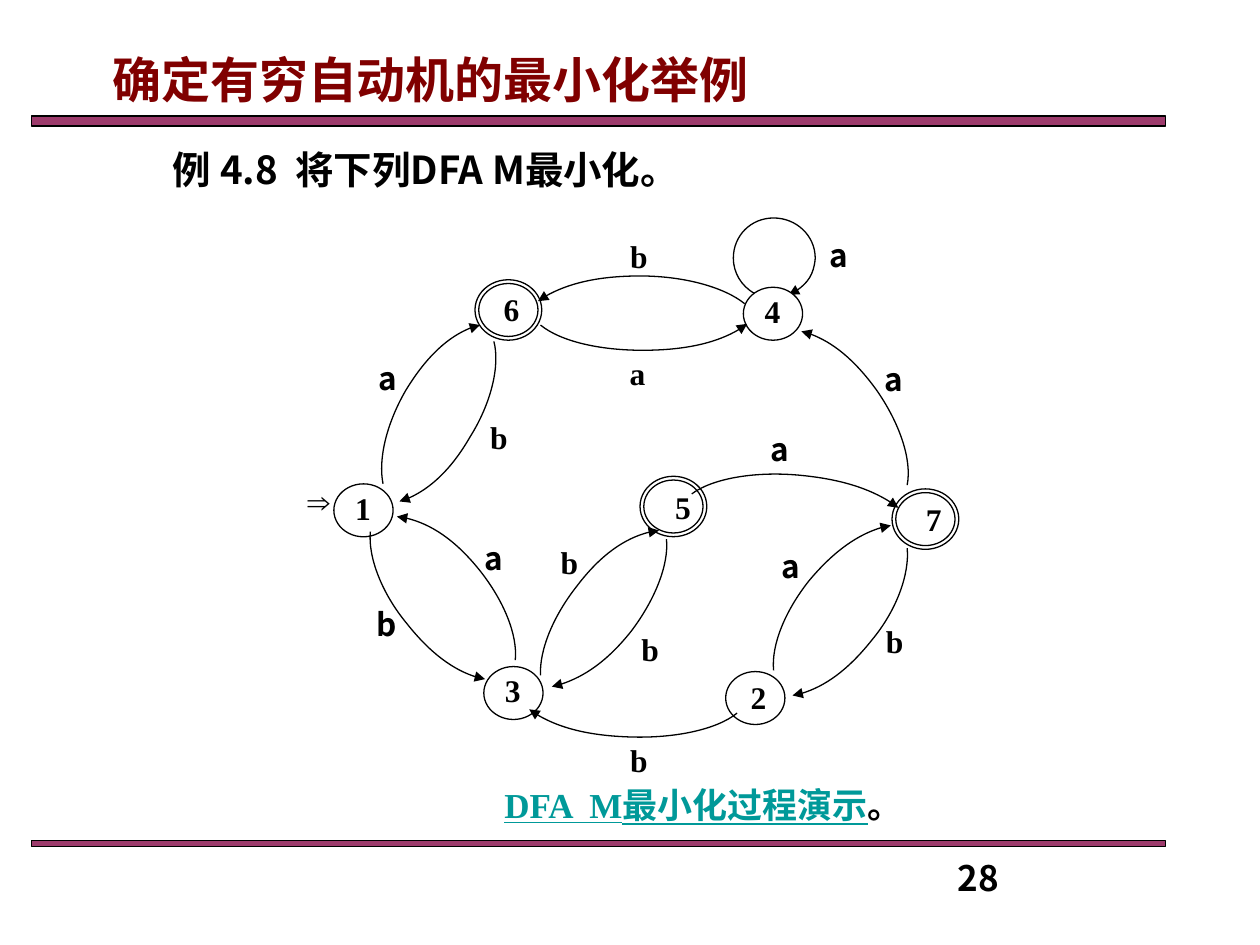
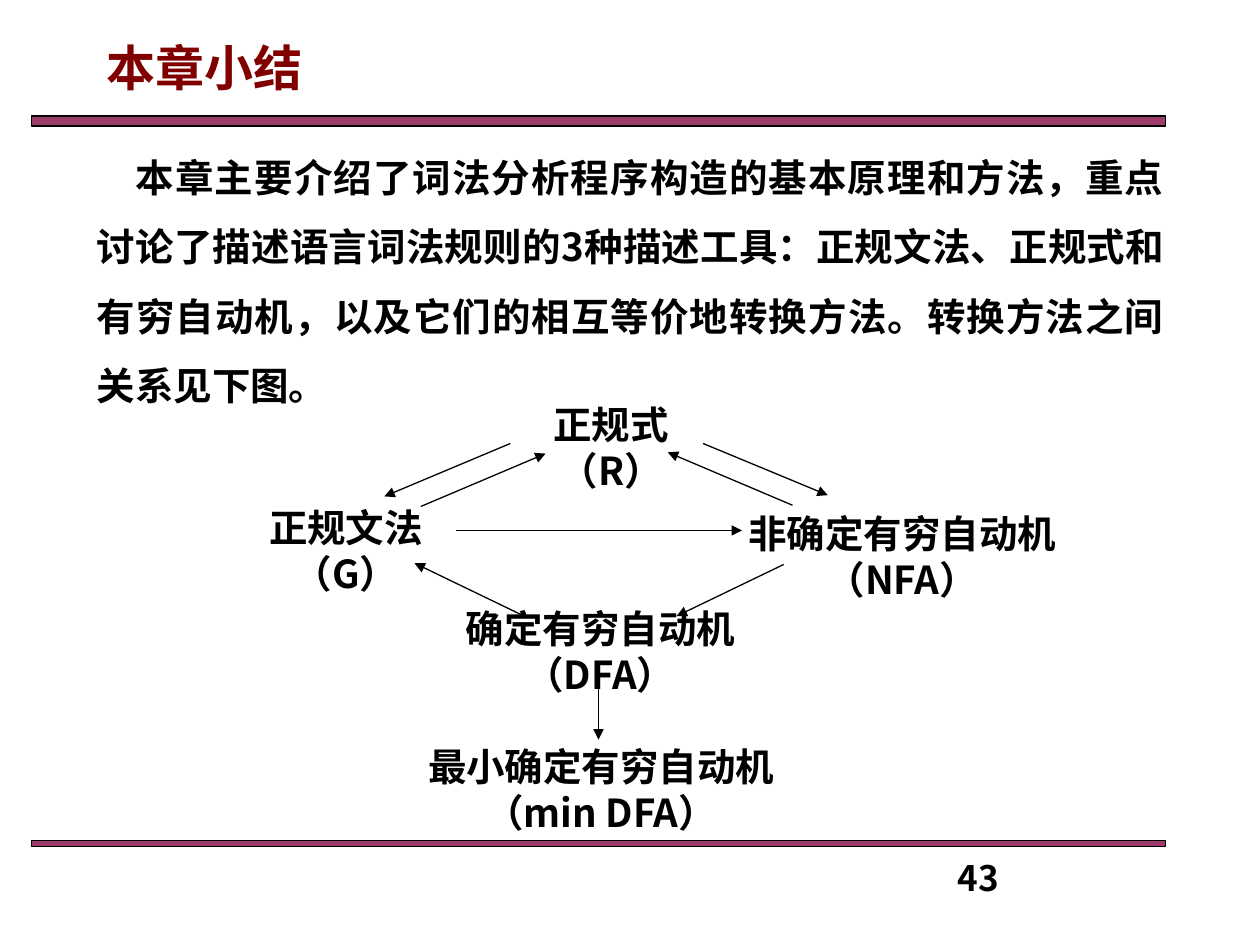
from lxml.etree import SubElement
from pptx import Presentation
from pptx.dml.color import RGBColor
from pptx.enum.shapes import MSO_CONNECTOR, MSO_SHAPE
from pptx.enum.text import PP_ALIGN
from pptx.oxml.ns import qn
from pptx.util import Inches, Pt

COLORS = {"black": "000000", "white": "FFFFFF", "band": "993366",
          "title": "800000", "link": "009999"}
SANS = "Noto Sans CJK SC"
SERIF = "Times New Roman"


def add_text(slide, box, paragraphs, size, font=SANS, color="black", align=PP_ALIGN.CENTER):
    shape = slide.shapes.add_textbox(*[Inches(value) for value in box])
    frame = shape.text_frame
    frame.word_wrap = True
    for index, runs in enumerate(paragraphs):
        paragraph = frame.paragraphs[0] if index == 0 else frame.add_paragraph()
        paragraph.alignment = align
        for text, run_color, underline in [(run, color, False) if isinstance(run, str) else run
                                           for run in runs]:
            run = paragraph.add_run()
            run.text = text
            run.font.name = font
            run.font.size = Pt(size)
            run.font.bold = True
            run.font.underline = underline
            run.font.color.rgb = RGBColor.from_string(COLORS[run_color])
            SubElement(run._r.get_or_add_rPr(), qn("a:ea"), typeface=SANS)
    return frame


def add_arrow(slide, points):
    if len(points) == 2:
        (x1, y1), (x2, y2) = points
        shape = slide.shapes.add_connector(
            MSO_CONNECTOR.STRAIGHT, Inches(x1), Inches(y1), Inches(x2), Inches(y2))
        SubElement(shape._element.spPr, qn("a:effectLst"))
    else:
        start, *rest = [(round(x * 100), round(y * 100)) for x, y in points]
        builder = slide.shapes.build_freeform(*start, scale=Inches(0.01))
        builder.add_line_segments(rest, close=False)
        shape = builder.convert_to_shape()
        shape.shadow.inherit = False
        shape.fill.background()
        path = shape._element.spPr.find(".//" + qn("a:path"))
        segments = path.findall(qn("a:lnTo"))
        for first in range(0, len(segments), 3):
            curve = SubElement(path, qn("a:cubicBezTo"))
            for segment in segments[first:first + 3]:
                curve.append(segment[0])
                path.remove(segment)
    shape.line.color.rgb = RGBColor.from_string(COLORS["black"])
    shape.line.width = Pt(0.75)
    SubElement(shape.line._get_or_add_ln(), qn("a:tailEnd"), type="triangle")


presentation = Presentation()
presentation.slide_width = Inches(10)
presentation.slide_height = Inches(7.5)

pages = [
    ("确定有穷自动机的最小化举例 ", (0.42, 0.34, 6.08, 0.57), PP_ALIGN.CENTER, "28"),
    ("本章小结", (0.75, 0.25, 5.75, 0.57), PP_ALIGN.LEFT, "43"),
]
slides = []
for title, title_box, title_align, number in pages:
    slide = presentation.slides.add_slide(presentation.slide_layouts[6])
    slides.append(slide)
    for top, height in [(0.92, 0.08), (6.67, 0.05)]:
        band = slide.shapes.add_shape(MSO_SHAPE.RECTANGLE, Inches(0.25), Inches(top),
                                      Inches(9), Inches(height))
        band.shadow.inherit = False
        band.fill.solid()
        band.fill.fore_color.rgb = RGBColor.from_string(COLORS["band"])
        SubElement(band._element.spPr.find(".//" + qn("a:srgbClr")), qn("a:alpha"), val="96000")
        band.line.color.rgb = RGBColor.from_string(COLORS["black"])
        band.line.width = Pt(0.75)
    add_text(slide, title_box, [[title]], 28, color="title", align=title_align)
    add_text(slide, (7.5, 6.75, 2.33, 0.27), [[number]], 20, align=PP_ALIGN.LEFT)

automaton, summary = slides

add_text(automaton, (1.25, 1.11, 4.33, 0.47), [["例 4.8  将下列DFA M最小化。 "]], 22)

add_arrow(automaton, [(5.99, 2.33), (5.88, 2.27), (5.82, 2.16), (5.82, 2.05),
                      (5.82, 1.87), (5.96, 1.73), (6.14, 1.73),
                      (6.32, 1.73), (6.47, 1.87), (6.47, 2.05),
                      (6.46, 2.18), (6.38, 2.29), (6.26, 2.34)])

states = [
    ("1", 2.65, 3.84, False, 2.67, 3.83),
    ("2", 5.76, 5.33, False, 5.81, 5.33),
    ("3", 3.84, 5.29, False, 3.86, 5.28),
    ("4", 5.9, 2.28, False, 5.92, 2.27),
    ("5", 5.11, 3.81, True, 5.16, 3.82),
    ("6", 3.8, 2.25, True, 3.8, 2.25),
    ("7", 7.11, 3.91, True, 7.15, 3.92),
]
for name, left, top, accepting, text_left, text_top in states:
    for margin in (0, 0.03)[:1 + accepting]:
        circle = automaton.shapes.add_shape(
            MSO_SHAPE.OVAL, Inches(left - margin), Inches(top - margin),
            Inches(0.47 + 2 * margin), Inches(0.42 + 2 * margin))
        circle.shadow.inherit = False
        if margin:
            circle.fill.background()
        else:
            circle.fill.solid()
            circle.fill.fore_color.rgb = RGBColor.from_string(COLORS["white"])
        circle.line.color.rgb = RGBColor.from_string(COLORS["black"])
        circle.line.width = Pt(0.75)
    add_text(automaton, (text_left, text_top, 0.52 if accepting else 0.42, 0.42),
             [[name]], 18, SERIF)

transitions = [
    [(4.29, 2.58), (4.45, 2.71), (4.76, 2.78), (5.1, 2.78), (5.45, 2.78), (5.77, 2.7), (5.93, 2.57)],
    [(5.91, 2.41), (5.75, 2.28), (5.43, 2.19), (5.08, 2.19), (4.74, 2.19), (4.43, 2.27), (4.27, 2.39)],
    [(3.92, 2.71), (3.97, 2.9), (3.9, 3.2), (3.73, 3.47), (3.58, 3.73), (3.36, 3.93), (3.17, 3.98)],
    [(3.04, 3.84), (3, 3.64), (3.07, 3.36), (3.22, 3.1), (3.39, 2.82), (3.62, 2.62), (3.81, 2.58)],
    [(4.09, 5.24), (4.11, 5.04), (4, 4.77), (3.81, 4.53), (3.61, 4.28), (3.36, 4.12), (3.15, 4.1)],
    [(2.94, 4.22), (2.92, 4.42), (3.03, 4.71), (3.23, 4.95), (3.42, 5.19), (3.66, 5.36), (3.85, 5.39)],
    [(5.29, 4.28), (5.31, 4.48), (5.2, 4.76), (5.01, 5.01), (4.82, 5.25), (4.58, 5.41), (4.38, 5.45)],
    [(7.2, 4.35), (7.22, 4.55), (7.12, 4.84), (6.92, 5.08), (6.73, 5.32), (6.49, 5.49), (6.29, 5.52)],
    [(4.29, 5.36), (4.28, 5.16), (4.39, 4.89), (4.58, 4.65), (4.77, 4.4), (5.02, 4.23), (5.23, 4.21)],
    [(6.14, 5.32), (6.12, 5.12), (6.23, 4.85), (6.42, 4.61), (6.62, 4.37), (6.87, 4.2), (7.07, 4.17)],
    [(7.2, 3.85), (7.24, 3.65), (7.14, 3.36), (6.96, 3.1), (6.78, 2.85), (6.55, 2.67), (6.36, 2.63)],
    [(5.85, 5.66), (5.69, 5.79), (5.36, 5.86), (5.01, 5.85), (4.67, 5.84), (4.37, 5.76), (4.2, 5.63)],
    [(5.49, 3.92), (5.65, 3.8), (5.98, 3.74), (6.33, 3.77), (6.67, 3.8), (6.97, 3.9), (7.13, 4.03)],
]
for points in transitions:
    add_arrow(automaton, points)

labels = [
    (SERIF, "b", [(3.75, 3.27), (4.86, 1.83), (4.95, 4.95), (4.86, 5.83), (4.31, 4.26), (6.89, 4.89)]),
    (SERIF, "a", [(4.85, 2.76)]),
    (SANS, "b", [(2.86, 4.75)]),
    (SANS, "a", [(2.87, 2.8), (6.45, 1.82), (3.71, 4.23), (6.88, 2.81), (5.98, 3.36), (6.07, 4.29)]),
]
for font, letter, places in labels:
    for left, top in places:
        add_text(automaton, (left, top, 0.42, 0.42), [[letter]], 18, font)
add_text(automaton, (2.25, 3.78, 0.56, 0.37), [["⇒"]], 18, SERIF)
add_text(automaton, (3.67, 6.17, 3.83, 0.43),
         [[("DFA  M最小化过程演示", "link", True), ("。", "black", False)]], 20, SERIF)

body = add_text(summary, (0.67, 0.99, 8.67, 2.32),
                [["本章主要介绍了词法分析程序构造的基本原理和方法，重点讨论了描述语言词法规则的3种描述工具："
                  "正规文法、正规式和有穷自动机，以及它们的相互等价地转换方法。转换方法之间关系见下图。 "]],
                22, align=PP_ALIGN.JUSTIFY)
body.paragraphs[0].line_spacing = 1.5
body.paragraphs[0]._p.get_or_add_pPr().set("indent", str(Inches(0.31)))

notions = [
    ((4.16, 3.13, 1.38, 0.52), ["正规式", "（R）"]),
    ((1.92, 3.95, 1.65, 0.51), ["正规文法", "（G）"]),
    ((5.74, 4, 2.84, 0.51), ["非确定有穷自动机（NFA）"]),
    ((3.52, 4.75, 2.49, 0.53), ["确定有穷自动机", "（DFA）"]),
    ((3.23, 5.85, 3.08, 0.51), ["最小确定有穷自动机", "（min DFA）"]),
]
for box, lines in notions:
    add_text(summary, box, [[line] for line in lines], 22)

conversions = [
    [(3.62, 4.21), (5.89, 4.21)],
    [(6.22, 4.48), (5.37, 4.89)],
    [(4.14, 4.88), (3.29, 4.47)],
    [(4.75, 5.46), (4.75, 5.87)],
    [(3.34, 4.02), (4.33, 3.6)],
    [(4.05, 3.52), (3.05, 3.94)],
    [(5.58, 3.52), (6.57, 3.93)],
    [(6.29, 4.01), (5.3, 3.59)],
]
for points in conversions:
    add_arrow(summary, points)

presentation.save("out.pptx")
